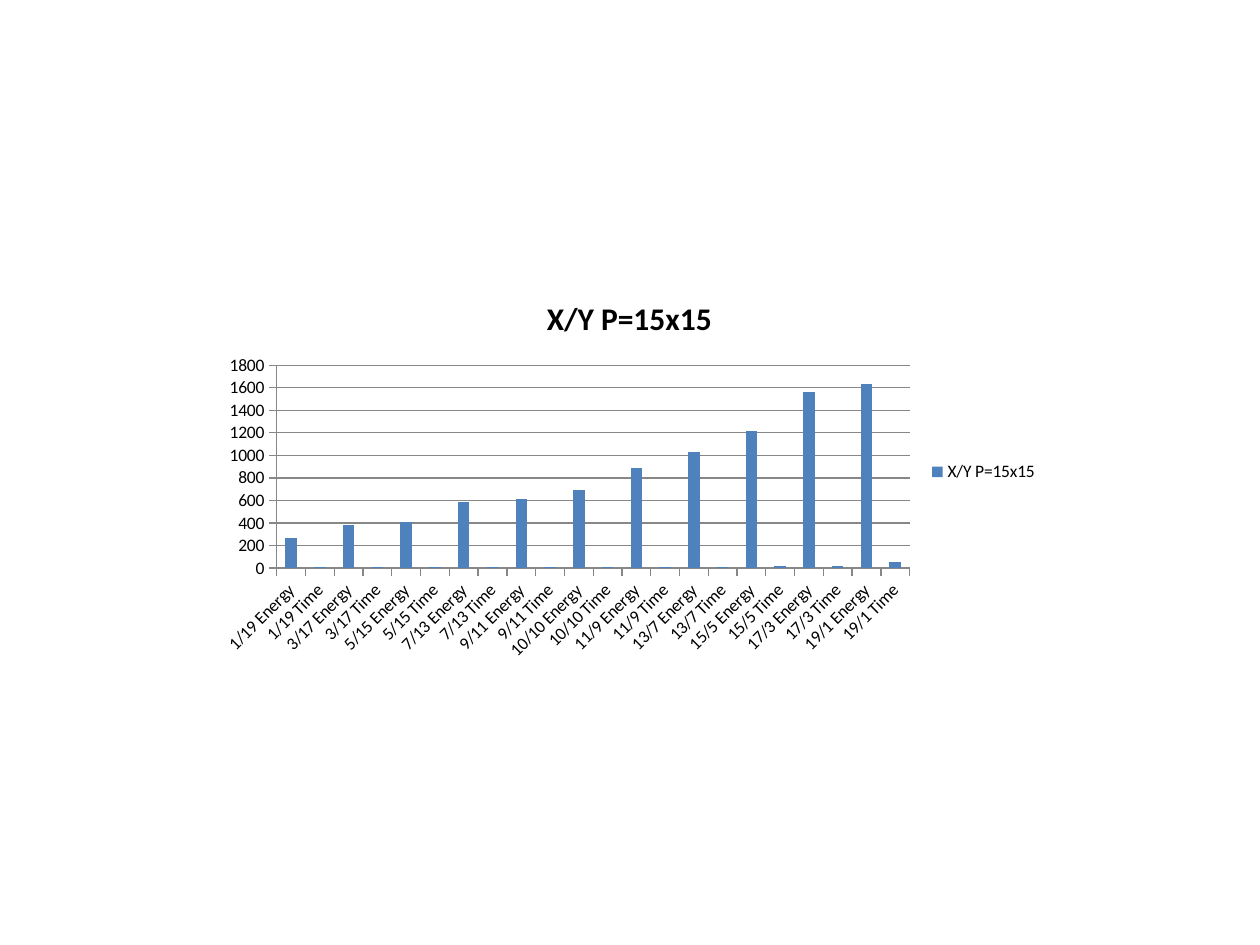
import pptx
import pptx.chart.data
import pptx.dml.color
import pptx.enum.chart
import pptx.util
from pptx.util import Inches

COLORS = {"text": "000000", "bar": "4F81BD", "line": "878787"}
FONT = "Calibri"
TITLE = "X/Y P=15x15"
RATIOS = ["1/19", "3/17", "5/15", "7/13", "9/11", "10/10", "11/9", "13/7", "15/5", "17/3", "19/1"]
ENERGY = [270, 380, 410, 590, 610, 690, 890, 1030, 1220, 1560, 1630]
TIME = [10, 10, 10, 10, 10, 10, 10, 10, 20, 20, 50]


def color(name):
    """Return the named colour."""
    return pptx.dml.color.RGBColor.from_string(COLORS[name])


def style_font(font, size, bold=False):
    """Apply the chart typeface, size, weight and colour."""
    font.name = FONT
    font.size = pptx.util.Pt(size)
    font.bold = bold
    font.color.rgb = color("text")


def style_line(line):
    """Format an axis or grid line."""
    line.color.rgb = color("line")
    line.width = pptx.util.Pt(0.75)


def style_axis(axis):
    """Give an axis outward ticks and a grey line."""
    axis.major_tick_mark = pptx.enum.chart.XL_TICK_MARK.OUTSIDE
    axis.minor_tick_mark = pptx.enum.chart.XL_TICK_MARK.NONE
    style_line(axis.format.line)
    style_font(axis.tick_labels.font, 10)


def rotate_labels(axis, degrees):
    """Turn the tick labels of an axis."""
    axis._element.get_or_add_txPr().bodyPr.set("rot", str(degrees * 60000))


def build_chart_data():
    """Pair energy and time values for every ratio."""
    data = pptx.chart.data.CategoryChartData()
    data.categories = [f"{ratio} {measure}" for ratio in RATIOS for measure in ("Energy", "Time")]
    data.add_series(TITLE, [value for pair in zip(ENERGY, TIME) for value in pair])
    return data


def add_title(chart):
    """Add the bold chart title."""
    chart.has_title = True
    frame = chart.chart_title.text_frame
    frame.text = TITLE
    style_font(frame.paragraphs[0].runs[0].font, 18, bold=True)


def add_legend(chart):
    """Place the legend to the right of the plot."""
    chart.has_legend = True
    chart.legend.position = pptx.enum.chart.XL_LEGEND_POSITION.RIGHT
    chart.legend.include_in_layout = False
    style_font(chart.legend.font, 10)


def add_column_chart(page):
    """Add the energy and time column chart."""
    chart = page.shapes.add_chart(
        pptx.enum.chart.XL_CHART_TYPE.COLUMN_CLUSTERED,
        Inches(1.65), Inches(2.19), Inches(6.69), Inches(3.11), build_chart_data(),
    ).chart
    style_font(chart.font, 10)
    add_title(chart)
    add_legend(chart)
    style_axis(chart.category_axis)
    rotate_labels(chart.category_axis, -45)
    style_axis(chart.value_axis)
    chart.value_axis.minimum_scale = 0
    chart.value_axis.maximum_scale = 1800
    chart.value_axis.major_unit = 200
    chart.value_axis.has_major_gridlines = True
    style_line(chart.value_axis.major_gridlines.format.line)
    plot = chart.plots[0]
    plot.gap_width = 150
    plot.vary_by_categories = False
    fill = plot.series[0].format.fill
    fill.solid()
    fill.fore_color.rgb = color("bar")


def main():
    """Build and save the slide."""
    deck = pptx.Presentation()
    deck.slide_width = Inches(10)
    deck.slide_height = Inches(7.5)
    page = deck.slides.add_slide(deck.slide_layouts[6])
    add_column_chart(page)
    deck.save("out.pptx")


if __name__ == "__main__":
    main()
